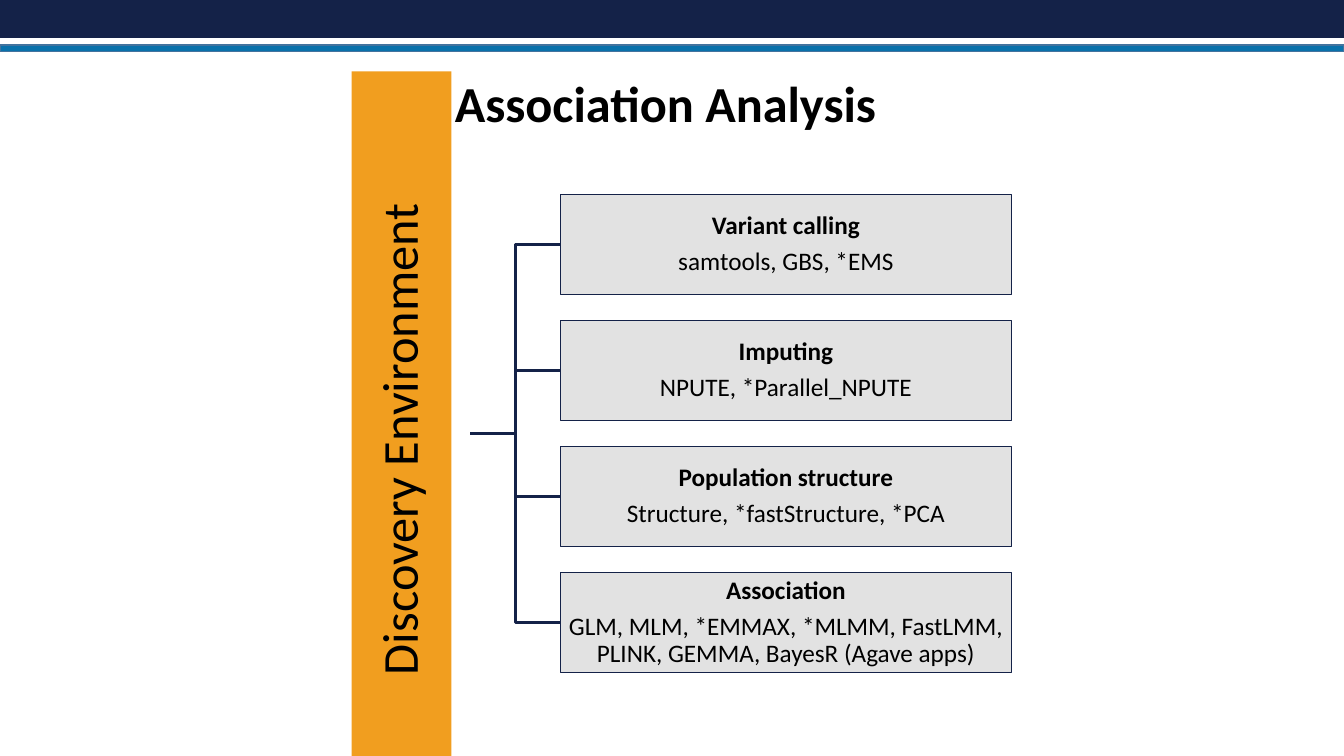
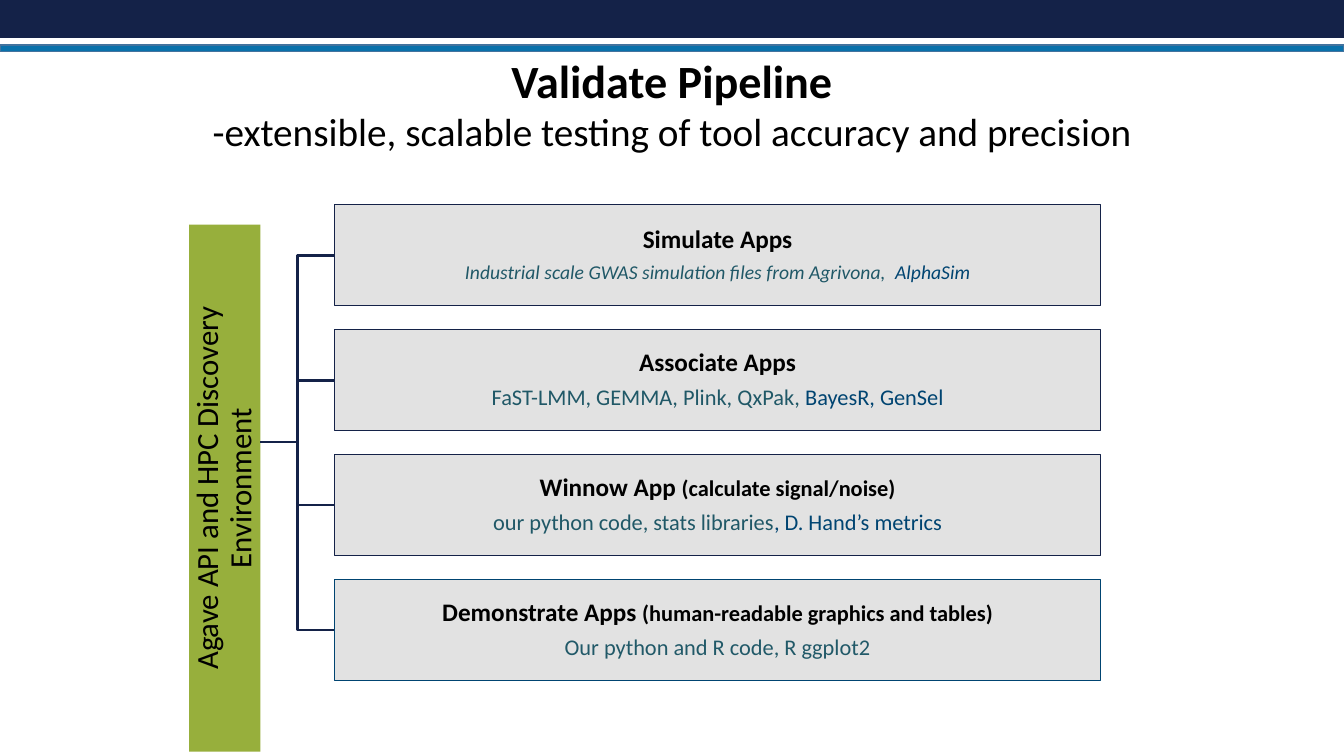
from pptx import Presentation
from pptx.dml.color import RGBColor
from pptx.enum.shapes import MSO_SHAPE as Shape
from pptx.enum.text import MSO_ANCHOR as Anchor, PP_ALIGN as Align
from pptx.util import Pt

PX = 9525
FONT = "Calibri"
NAVY, BLUE, BLUE_EDGE = "142248", "0971AB", "43739E"
ORANGE, GREEN, GRAY = "F19E1F", "97AF3C", "E2E2E2"
BLACK, TEAL, DEEP_BLUE, DARK_TEAL = "000000", "205867", "004471", "215968"

hex_color = RGBColor.from_string


def add_rectangle(slide, bounds, fill, edge=None, edge_width=0.75, margin=0):
    shape = slide.shapes.add_shape(Shape.RECTANGLE, *(value * PX for value in bounds))
    shape.shadow.inherit = False
    shape.fill.solid()
    shape.fill.fore_color.rgb = hex_color(fill)
    if edge:
        shape.line.color.rgb = hex_color(edge)
        shape.line.width = Pt(edge_width)
    else:
        shape.line.fill.background()
    frame = shape.text_frame
    frame.word_wrap = True
    frame.vertical_anchor = Anchor.MIDDLE
    frame.margin_left = frame.margin_right = margin * PX
    frame.margin_top = frame.margin_bottom = margin * PX
    return shape


def write_lines(frame, lines, line_spacing=None, gap=None):
    for index, (bold, italic, runs) in enumerate(lines):
        paragraph = frame.add_paragraph() if index else frame.paragraphs[0]
        paragraph.alignment = Align.CENTER
        paragraph.line_spacing = line_spacing
        if index and gap:
            paragraph.space_before = Pt(gap)
        paragraph.font.name = FONT
        paragraph.font.bold = bold
        paragraph.font.italic = italic
        sizes = {size for _, size, _ in runs}
        colors = {color for _, _, color in runs}
        if len(sizes) == 1:
            paragraph.font.size = Pt(runs[0][1])
        if len(colors) == 1:
            paragraph.font.color.rgb = hex_color(runs[0][2])
        for text, size, color in runs:
            run = paragraph.add_run()
            run.text = text
            if len(sizes) > 1:
                run.font.size = Pt(size)
            if len(colors) > 1:
                run.font.color.rgb = hex_color(color)


pages = [
    {
        "title_bounds": (154, 64, 960, 66),
        "title": [("Association Analysis", 36, True)],
        "bar": ((335, 68, 95, 690), ORANGE, "Discovery Environment ", 36, 3),
        "stem_left": 448,
        "first_box": (534, 185, 429, 96),
        "pitch": 120,
        "steps": [
            ([("Variant calling", 18, BLACK)], [("samtools, GBS, *EMS", 18, BLACK)]),
            ([("Imputing", 18, BLACK)], [("NPUTE, *Parallel_NPUTE", 18, BLACK)]),
            ([("Population structure", 18, BLACK)],
             [("Structure, *fastStructure, *PCA", 18, BLACK)]),
            ([("Association", 18, BLACK)],
             [("GLM, MLM, *EMMAX, *MLMM, FastLMM, PLINK, GEMMA, BayesR (Agave apps)",
               18, BLACK)]),
        ],
        "edges": [NAVY] * 4,
        "italics": [False] * 4,
    },
    {
        "title_bounds": (177, 45, 926, 100),
        "title": [
            ("Validate Pipeline", 33, True),
            ("-extensible, scalable testing of tool accuracy and precision", 28, False),
        ],
        "bar": ((180, 214, 68, 502), GREEN,
                "Agave API and HPC Discovery Environment", 22, 2),
        "stem_left": 248,
        "first_box": (319, 195, 729, 96),
        "pitch": 119,
        "steps": [
            ([("Simulate Apps", 18, BLACK)],
             [("Industrial scale GWAS simulation files from Agrivona, ", 14, TEAL),
              (" AlphaSim", 14, DEEP_BLUE)]),
            ([("Associate Apps", 18, BLACK)],
             [("FaST-LMM, GEMMA, Plink, QxPak, ", 16, TEAL),
              ("BayesR, GenSel", 16, DEEP_BLUE)]),
            ([("Winnow App ", 18, BLACK), ("(calculate signal/noise)", 16, BLACK)],
             [("our python code, stats libraries", 16, TEAL),
              (", D. Hand’s metrics", 16, DEEP_BLUE)]),
            ([("Demonstrate Apps ", 18, BLACK),
              ("(human-readable graphics and tables)", 16, BLACK)],
             [("Our python and R code, R ggplot2", 16, DARK_TEAL)]),
        ],
        "edges": [NAVY] * 3 + [DEEP_BLUE],
        "italics": [True] + [False] * 3,
    },
]

presentation = Presentation()
presentation.slide_width = 1280 * PX
presentation.slide_height = 720 * PX
blank_layout = presentation.slide_layouts[6]
slides = [presentation.slides.add_slide(blank_layout) for _ in pages]

master_tree = presentation.slide_master.shapes.element
for band in (
    add_rectangle(slides[0], (0, 0, 1280, 36), NAVY),
    add_rectangle(slides[0], (0, 43, 1280, 6), BLUE, BLUE_EDGE, 1),
):
    master_tree.append(band.element)

for slide, page in zip(slides, pages):
    bounds, fill, label, size, margin = page["bar"]
    bar = add_rectangle(slide, bounds, fill, margin=margin)
    bar.element.txBody.bodyPr.set("vert", "vert270")
    write_lines(bar.text_frame, [(False, False, [(label, size, BLACK)])], 0.9)

    left, top, width, height = page["first_box"]
    stem_left = page["stem_left"]
    trunk_x = (stem_left + left) // 2
    tops = [top + index * page["pitch"] for index in range(len(page["steps"]))]
    stem_y = (tops[0] + tops[-1] + height) // 2

    for box_top in tops:
        middle = box_top + height // 2
        builder = slide.shapes.build_freeform(stem_left, stem_y, scale=PX)
        builder.add_line_segments(
            [(trunk_x, stem_y), (trunk_x, middle), (left, middle)], close=False)
        branch = builder.convert_to_shape()
        branch.shadow.inherit = False
        branch.fill.background()
        branch.line.color.rgb = hex_color(NAVY)
        branch.line.width = Pt(2)

    for box_top, (heading, tools), edge, italic in zip(
            tops, page["steps"], page["edges"], page["italics"]):
        box = add_rectangle(slide, (left, box_top, width, height), GRAY, edge, margin=1)
        lines = [(True, False, heading), (False, italic, tools)]
        write_lines(box.text_frame, lines, 0.9, 6.3)

    title = slide.shapes.add_textbox(*(value * PX for value in page["title_bounds"]))
    title.text_frame.word_wrap = True
    write_lines(title.text_frame, [
        (bold, False, [(text, size, BLACK)]) for text, size, bold in page["title"]])

presentation.save("out.pptx")
